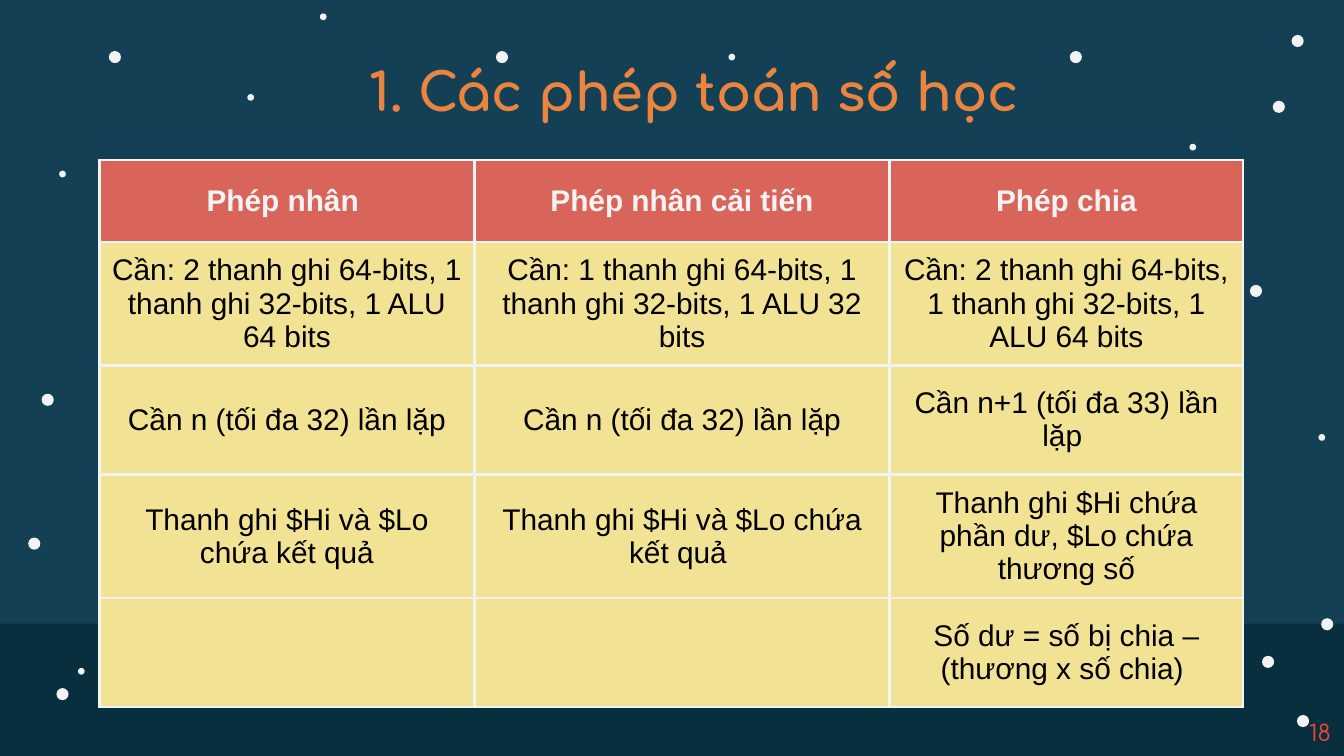
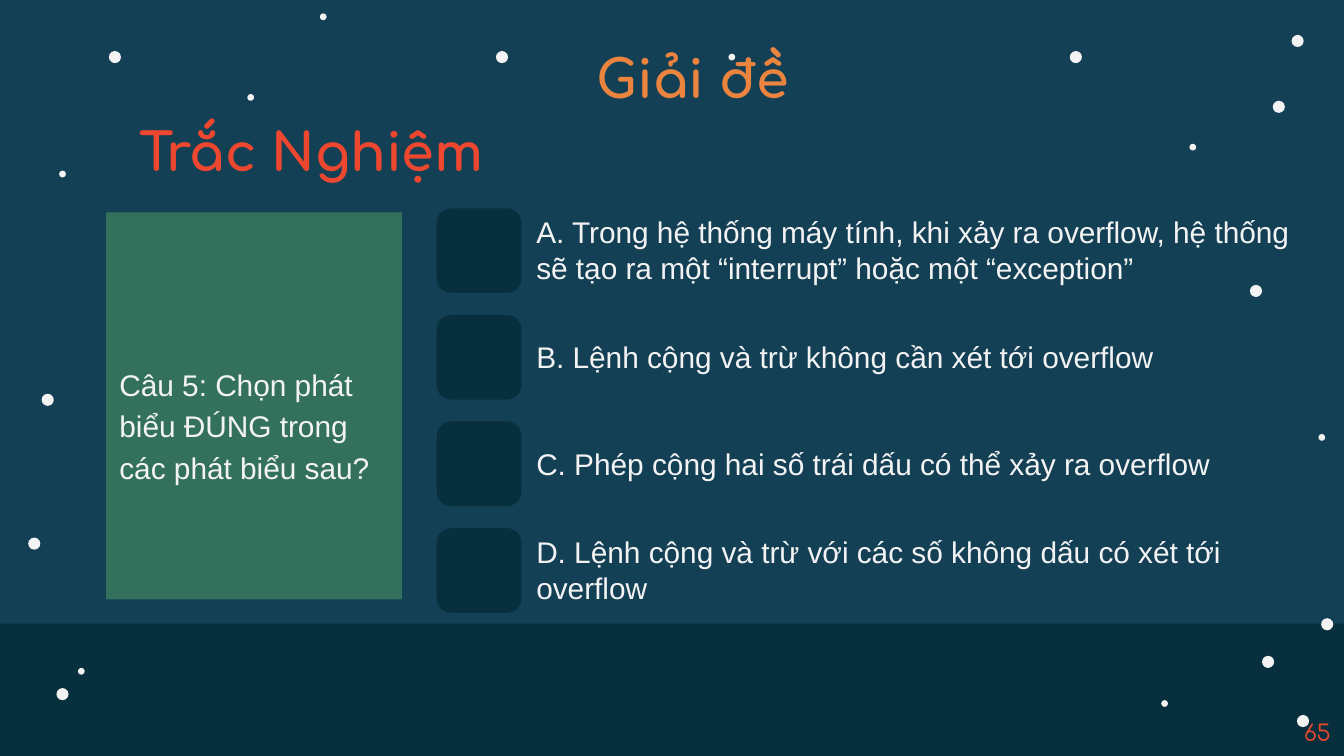
from dataclasses import dataclass

import pptx
import pptx.dml.color
import pptx.enum.shapes
import pptx.enum.text
import pptx.oxml
import pptx.oxml.ns
import pptx.util
from pptx.util import Inches

ALIGN = pptx.enum.text.PP_ALIGN
ANCHOR = pptx.enum.text.MSO_ANCHOR
SHAPE = pptx.enum.shapes.MSO_SHAPE


# Theme
@dataclass(frozen=True)
class Theme:
    night: str = "144055"
    ground: str = "082F3D"
    snow: str = "F3F3F3"
    orange: str = "EA843F"
    red: str = "ED472F"
    green: str = "33715C"
    header: str = "D96459"
    cell: str = "F2E394"
    ink: str = "000000"
    heading_font: str = "Comfortaa"
    body_font: str = "Arial"
    title_size: int = 28
    body_size: int = 16
    number_size: int = 12


THEME = Theme()


@dataclass(frozen=True)
class Area:
    left: float
    top: float
    width: float
    height: float

    def lengths(self) -> tuple:
        return tuple(Inches(v) for v in (self.left, self.top, self.width, self.height))


@dataclass(frozen=True)
class TextStyle:
    size: int
    font: str
    color: str
    bold: bool = False
    align: ALIGN = ALIGN.LEFT


TITLE = TextStyle(THEME.title_size, THEME.heading_font, THEME.orange, True, ALIGN.CENTER)
SUBTITLE = TextStyle(THEME.title_size, THEME.heading_font, THEME.red, True)
NUMBER = TextStyle(THEME.number_size, THEME.heading_font, THEME.red, align=ALIGN.RIGHT)
BODY = TextStyle(THEME.body_size, THEME.body_font, THEME.snow)
HEADER = TextStyle(THEME.body_size, THEME.body_font, THEME.snow, True, ALIGN.CENTER)
CELL = TextStyle(THEME.body_size, THEME.body_font, THEME.ink, align=ALIGN.CENTER)

# Snowflakes, as left and top corners by diameter
SNOW = {
    0.09: [(0.81, 0.38), (9.3, 2.12), (7.96, 0.38), (9.61, 0.26), (3.69, 0.38),
           (9.65, 5.32), (0.31, 2.93), (9.47, 0.75), (9.39, 4.88), (9.83, 4.6),
           (0.21, 4), (0.42, 5.12)],
    0.05: [(0.44, 1.27), (8.85, 1.07), (8.64, 5.21), (0.58, 4.97), (5.42, 0.4),
           (2.38, 0.1), (1.84, 0.7), (9.81, 3.23)],
}

OPERATIONS = [
    ("Phép nhân ", "Phép nhân cải tiến", "Phép chia"),
    ("Cần: 2 thanh ghi 64-bits, 1 thanh ghi 32-bits, 1 ALU 64 bits",
     "Cần: 1 thanh ghi 64-bits, 1 thanh ghi 32-bits, 1 ALU 32 bits",
     "Cần: 2 thanh ghi 64-bits, 1 thanh ghi 32-bits, 1 ALU 64 bits"),
    ("Cần n (tối đa 32) lần lặp", "Cần n (tối đa 32) lần lặp",
     "Cần n+1 (tối đa 33) lần lặp "),
    ("Thanh ghi $Hi và $Lo chứa kết quả", "Thanh ghi $Hi và $Lo chứa kết quả ",
     "Thanh ghi $Hi chứa phần dư, $Lo chứa thương số"),
    ("", "", "Số dư = số bị chia – (thương x số chia) "),
]

ANSWERS = [
    "A. Trong hệ thống máy tính, khi xảy ra overflow, hệ thống sẽ tạo ra một "
    "“interrupt” hoặc một “exception”",
    "B. Lệnh cộng và trừ không cần xét tới overflow",
    "C. Phép cộng hai số trái dấu có thể xảy ra overflow",
    "D. Lệnh cộng và trừ với các số không dấu có xét tới overflow",
]
FIRST_ANSWER, LAST_ANSWER = 1.55, 3.93


# Drawing helpers
def rgb(color: str) -> pptx.dml.color.RGBColor:
    return pptx.dml.color.RGBColor.from_string(color)


def write(para, text: str, style: TextStyle) -> None:
    para.alignment = style.align
    span = para.add_run()
    span.text = text
    span.font.size = pptx.util.Pt(style.size)
    span.font.name = style.font
    span.font.bold = style.bold
    span.font.color.rgb = rgb(style.color)


def set_margins(target, left: float, top: float, right: float, bottom: float) -> None:
    target.margin_left, target.margin_top = Inches(left), Inches(top)
    target.margin_right, target.margin_bottom = Inches(right), Inches(bottom)


def add_text(page, area: Area, text: str, style: TextStyle, margins=(0.1, 0.05, 0.1, 0.05),
             anchor=ANCHOR.MIDDLE):
    box = page.shapes.add_textbox(*area.lengths())
    frame = box.text_frame
    frame.word_wrap = True
    frame.vertical_anchor = anchor
    set_margins(frame, *margins)
    write(frame.paragraphs[0], text, style)
    return box


def add_block(page, kind: SHAPE, area: Area, color: str):
    block = page.shapes.add_shape(kind, *area.lengths())
    block.shadow.inherit = False
    block.fill.solid()
    block.fill.fore_color.rgb = rgb(color)
    block.line.fill.background()
    return block


def add_borders(cell, color: str, points: float) -> None:
    properties = cell._tc.get_or_add_tcPr()
    for index, side in enumerate(("lnL", "lnR", "lnT", "lnB")):
        line = pptx.oxml.parse_xml(
            f'<a:{side} {pptx.oxml.ns.nsdecls("a")} w="{pptx.util.Pt(points)}">'
            f'<a:solidFill><a:srgbClr val="{color}"/></a:solidFill></a:{side}>')
        properties.insert(index, line)


# Shared page parts
def add_page(deck):
    page = deck.slides.add_slide(deck.slide_layouts[6])
    page.background.fill.solid()
    page.background.fill.fore_color.rgb = rgb(THEME.night)
    add_block(page, SHAPE.RECTANGLE, Area(0, 4.64, 10, 1.02), THEME.ground)
    for size, corners in SNOW.items():
        for left, top in corners:
            add_block(page, SHAPE.OVAL, Area(left, top, size, size), THEME.snow)
    return page


def add_title(page, text: str, left: float, top: float) -> None:
    add_text(page, Area(left, top, 8.43, 0.63), text, TITLE, (0.1,) * 4)


def add_number(page, number: int) -> None:
    add_text(page, Area(7.75, 5.3, 2.25, 0.3), str(number), NUMBER)


# Comparison table
def build_operations(deck) -> None:
    page = add_page(deck)
    frame = page.shapes.add_table(len(OPERATIONS), 3, *Area(0.74, 1.19, 8.51, 3.85).lengths())
    table = frame.table
    table.first_row = table.horz_banding = False
    for column, width in zip(table.columns, (2.79, 3.09, 2.63)):
        column.width = Inches(width)
    for r, texts in enumerate(OPERATIONS):
        table.rows[r].height = Inches(0.81 if r else 0.61)
        for c, text in enumerate(texts):
            cell = table.cell(r, c)
            cell.fill.solid()
            cell.fill.fore_color.rgb = rgb(THEME.cell if r else THEME.header)
            add_borders(cell, THEME.snow, 1.5)
            cell.vertical_anchor = ANCHOR.MIDDLE
            set_margins(cell, 0.09, 0.09, 0.09, 0.09)
            if text:
                write(cell.text_frame.paragraphs[0], text, CELL if r else HEADER)
    add_title(page, "1. Các phép toán số học", 0.95, 0.36)
    add_number(page, 18)


# Multiple-choice question
def build_question(deck) -> None:
    page = add_page(deck)
    pitch = (LAST_ANSWER - FIRST_ANSWER) / (len(ANSWERS) - 1)
    for index, answer in enumerate(ANSWERS):
        top = FIRST_ANSWER + pitch * index
        add_text(page, Area(3.99, top + 0.09, 5.65, 0.44), answer, BODY, (0,) * 4)
        tile = add_block(page, SHAPE.ROUNDED_RECTANGLE, Area(3.25, top, 0.63, 0.63),
                         THEME.ground)
        tile.adjustments[0] = 0.17

    panel = add_block(page, SHAPE.RECTANGLE, Area(0.79, 1.58, 2.2, 2.88), THEME.green)
    frame = panel.text_frame
    frame.word_wrap = True
    frame.vertical_anchor = ANCHOR.MIDDLE
    set_margins(frame, 0.1, 0.26, 0.1, 0)
    para = frame.paragraphs[0]
    para.line_spacing = 1.15
    para.space_after = pptx.util.Pt(16)
    write(para, "Câu 5: Chọn phát biểu ĐÚNG trong các phát biểu sau?", BODY)

    add_title(page, "Giải đề", 0.94, 0.26)
    subtitle = add_text(page, Area(0.94, 0.84, 5, 0.57), "Trắc Nghiệm", SUBTITLE,
                        anchor=ANCHOR.TOP)
    subtitle.text_frame.auto_size = pptx.enum.text.MSO_AUTO_SIZE.SHAPE_TO_FIT_TEXT
    add_number(page, 65)


def main() -> None:
    deck = pptx.Presentation()
    # Widescreen, 16 to 9
    deck.slide_width = Inches(10)
    deck.slide_height = deck.slide_width * 9 // 16
    build_operations(deck)
    build_question(deck)
    deck.save("out.pptx")


if __name__ == "__main__":
    main()
